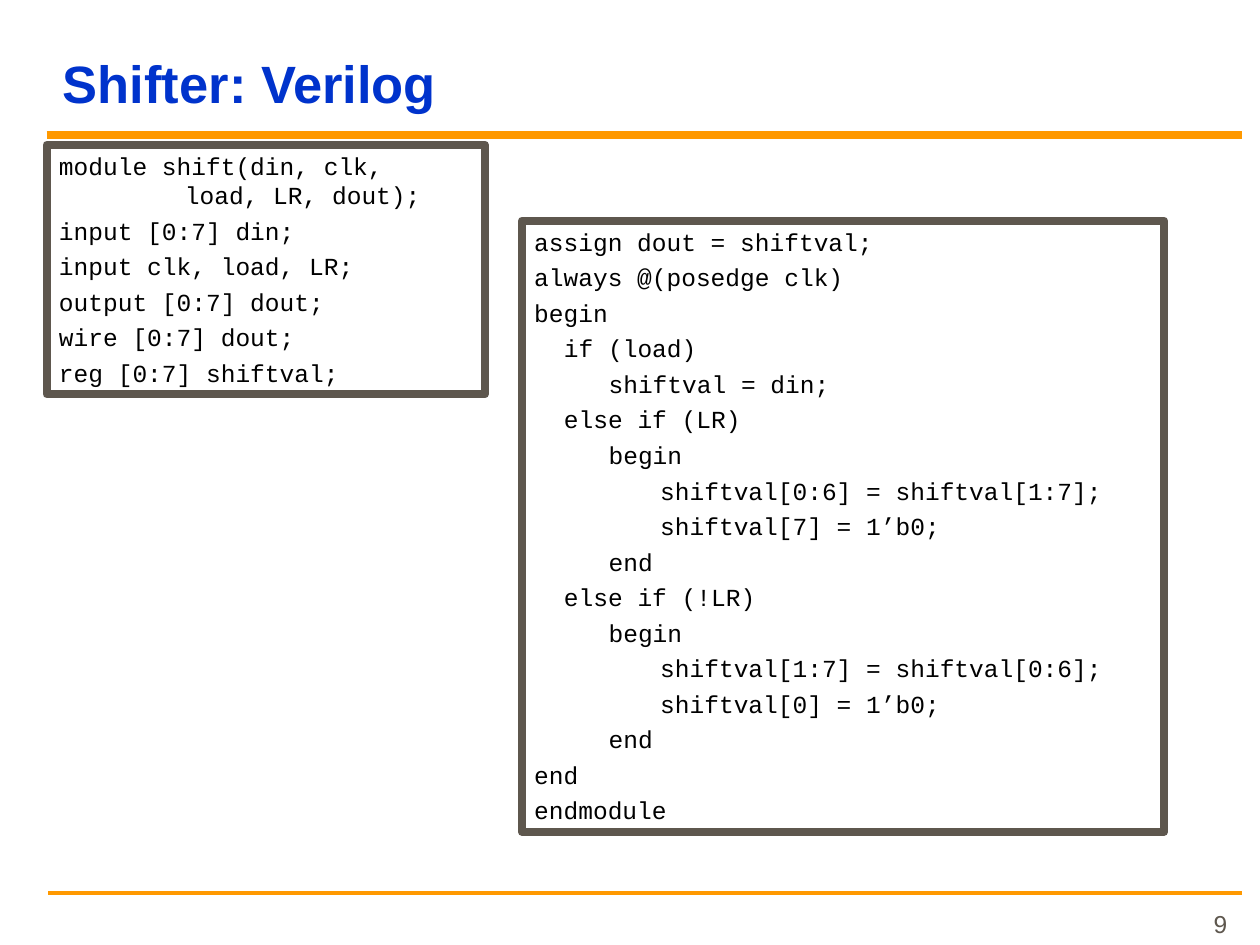
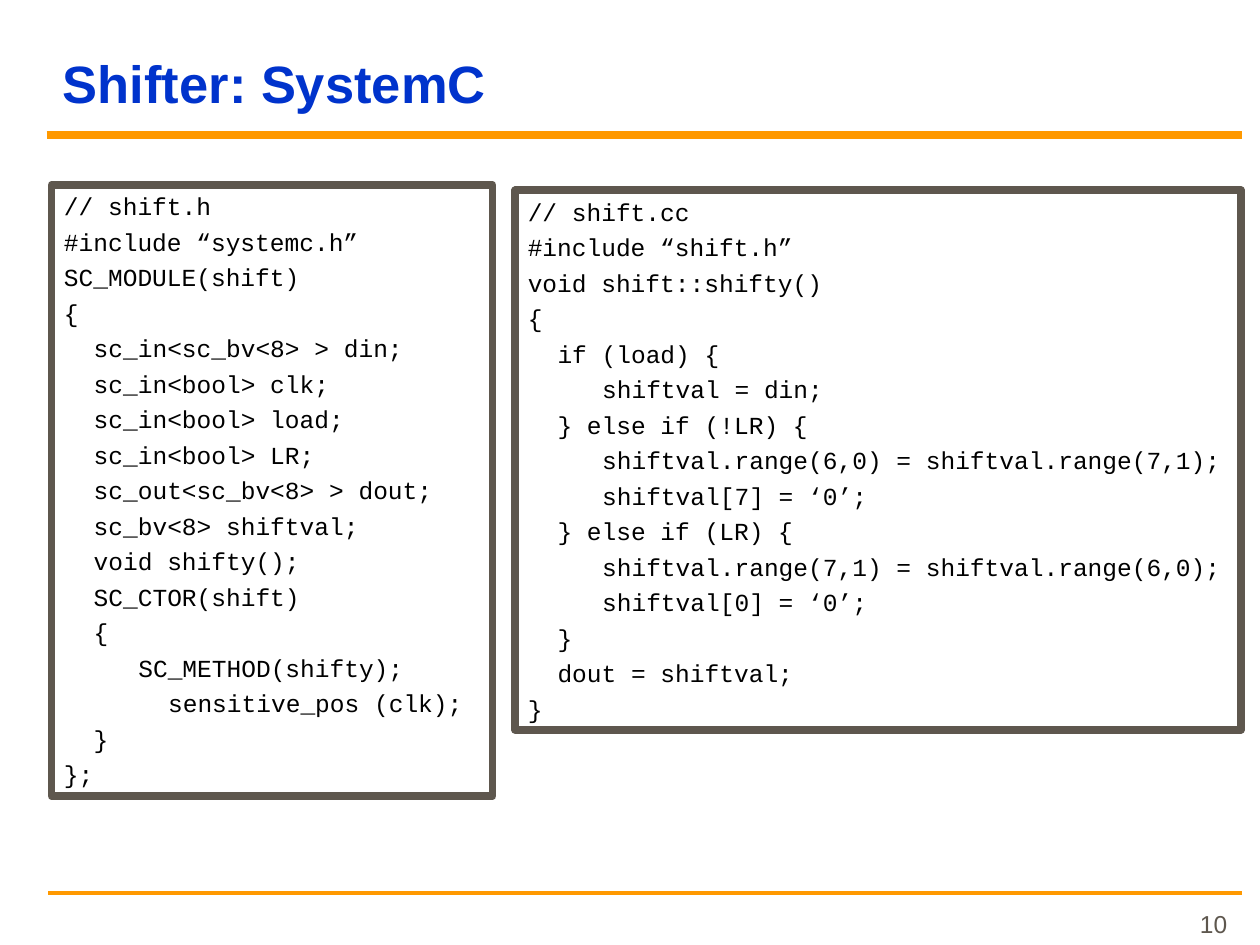
from copy import deepcopy

from pptx import Presentation
from pptx.dml.color import RGBColor
from pptx.enum.shapes import MSO_CONNECTOR, MSO_SHAPE
from pptx.enum.text import MSO_ANCHOR, MSO_AUTO_SIZE, PP_ALIGN
from pptx.oxml.ns import qn
from pptx.util import Cm, Pt
from lxml.etree import SubElement

ORANGE = "FF9900"
BLUE = "0033CC"
BROWN = "5E574E"
BLACK = "000000"
SLIDE_BOX = (0, 0, 25.4, 19.05)

COLUMN = 0.3
FLUSH, BLOCK, BODY, CALL = (columns * COLUMN for columns in (0, 2, 5, 7))
TAB = 2.54

VERILOG_PORTS = [
    (TAB, "module shift(din, clk, \vload, LR, dout);"),
    (FLUSH, "input [0:7] din;"),
    (FLUSH, "input clk, load, LR;"),
    (FLUSH, "output [0:7] dout;"),
    (FLUSH, "wire [0:7] dout;"),
    (FLUSH, "reg [0:7] shiftval;"),
]
VERILOG_BEHAVIOUR = [
    (FLUSH, "assign dout = shiftval;"),
    (FLUSH, "always @(posedge clk)"),
    (FLUSH, "begin"),
    (BLOCK, "if (load)"),
    (BODY, "shiftval = din;"),
    (BLOCK, "else if (LR)"),
    (BODY, "begin"),
    (TAB, "shiftval[0:6] = shiftval[1:7];"),
    (TAB, "shiftval[7] = 1’b0;"),
    (BODY, "end"),
    (BLOCK, "else if (!LR)"),
    (BODY, "begin"),
    (TAB, "shiftval[1:7] = shiftval[0:6];"),
    (TAB, "shiftval[0] = 1’b0;"),
    (BODY, "end"),
    (FLUSH, "end"),
    (FLUSH, "endmodule"),
]
SYSTEMC_HEADER = [
    (FLUSH, "// shift.h"),
    (FLUSH, "#include “systemc.h”"),
    (FLUSH, "SC_MODULE(shift)"),
    (FLUSH, "{"),
    (BLOCK, "sc_in<sc_bv<8> > din;"),
    (BLOCK, "sc_in<bool> clk;"),
    (BLOCK, "sc_in<bool> load;"),
    (BLOCK, "sc_in<bool> LR;"),
    (BLOCK, "sc_out<sc_bv<8> > dout;"),
    (BLOCK, "sc_bv<8> shiftval;"),
    (BLOCK, "void shifty();"),
    (BLOCK, "SC_CTOR(shift)"),
    (BLOCK, "{"),
    (BODY, "SC_METHOD(shifty);"),
    (CALL, "sensitive_pos (clk);"),
    (BLOCK, "}"),
    (FLUSH, "};"),
]
SYSTEMC_SOURCE = [
    (FLUSH, "// shift.cc"),
    (FLUSH, "#include “shift.h”"),
    (FLUSH, "void shift::shifty()"),
    (FLUSH, "{"),
    (BLOCK, "if (load) {"),
    (BODY, "shiftval = din;"),
    (BLOCK, "} else if (!LR) {"),
    (BODY, "shiftval.range(6,0) = shiftval.range(7,1);"),
    (BODY, "shiftval[7] = ‘0’;"),
    (BLOCK, "} else if (LR) {"),
    (BODY, "shiftval.range(7,1) = shiftval.range(6,0);"),
    (BODY, "shiftval[0] = ‘0’;"),
    (BLOCK, "}"),
    (BLOCK, "dout = shiftval;"),
    (FLUSH, "}"),
]


def colour(value):
    return RGBColor.from_string(value)


def write(paragraph, text, *, font="Arial", size=14, ink=BLACK, bold=False,
          before=0, align=PP_ALIGN.LEFT, indent=0):
    paragraph.text = text
    paragraph.alignment = align
    paragraph.space_before = Pt(before)
    properties = paragraph._p.get_or_add_pPr()
    properties.set("marL", str(Cm(indent)))
    properties.set("indent", str(-Cm(indent) if "\v" in text else 0))
    for run in paragraph.runs:
        run.font.name = font
        run.font.size = Pt(size)
        run.font.bold = bold
        run.font.color.rgb = colour(ink)
    for line_break in paragraph._p.findall(qn("a:br")):
        line_break.append(deepcopy(paragraph.runs[0]._r.rPr))


def add_rule(slide, left, right, y, width):
    rule = slide.shapes.add_connector(
        MSO_CONNECTOR.STRAIGHT, Cm(left), Cm(y), Cm(right), Cm(y))
    rule.line.color.rgb = colour(ORANGE)
    rule.line.width = Pt(width)
    SubElement(rule._element.spPr, qn("a:effectLst"))


def add_label(slide, box, text, **style):
    frame = slide.shapes.add_textbox(*map(Cm, box)).text_frame
    frame.word_wrap = True
    frame.vertical_anchor = MSO_ANCHOR.BOTTOM
    write(frame.paragraphs[0], text, **style)


def add_heading(slide, box, title):
    left, top, width, _ = box
    right = left + width - 0.36
    add_label(slide, (left + 1.02, top + 0.46, width - 1.37, 1.96), title,
              size=30, ink=BLUE, bold=True)
    add_rule(slide, left + 0.94, right, top + 2.72, 4.5)


def add_footer(slide, box, number):
    left, top, width, height = box
    right, bottom = left + width, top + height
    add_rule(slide, left + 0.97, right - 0.36, bottom - 1.04, 2.25)
    add_label(slide, (right - 6.48, bottom - 0.99, 6.07, 0.99), str(number),
              ink=BROWN, before=8.8, align=PP_ALIGN.RIGHT)


def add_listing(slide, box, code):
    panel = slide.shapes.add_shape(MSO_SHAPE.RECTANGLE, *map(Cm, box))
    panel.shadow.inherit = False
    panel.fill.background()
    panel.line.color.rgb = colour(BROWN)
    panel.line.width = Pt(4.5)
    frame = panel.text_frame
    frame.word_wrap = True
    frame.auto_size = MSO_AUTO_SIZE.SHAPE_TO_FIT_TEXT
    frame.vertical_anchor = MSO_ANCHOR.TOP
    for row, (indent, statement) in enumerate(code):
        paragraph = frame.add_paragraph() if row else frame.paragraphs[0]
        write(paragraph, statement, font="Courier New", before=3.5, indent=indent)


def add_code_slide(presentation, box, number, title, listings):
    slide = presentation.slides.add_slide(presentation.slide_layouts[6])
    add_heading(slide, box, title)
    for listing_box, code in listings:
        add_listing(slide, listing_box, code)
    add_footer(slide, box, number)


def main():
    presentation = Presentation()
    presentation.slide_width, presentation.slide_height = map(Cm, SLIDE_BOX[2:])
    add_code_slide(presentation, SLIDE_BOX, 9, "Shifter: Verilog", [
        ((10.52, 4.45, 12.95, 12.32), VERILOG_BEHAVIOUR),
        ((0.94, 2.92, 8.84, 5.03), VERILOG_PORTS),
    ])
    add_code_slide(presentation, SLIDE_BOX, 10, "Shifter: SystemC", [
        ((1.04, 3.73, 8.89, 12.32), SYSTEMC_HEADER),
        ((10.39, 3.84, 14.63, 10.87), SYSTEMC_SOURCE),
    ])
    presentation.save("out.pptx")


if __name__ == "__main__":
    main()
